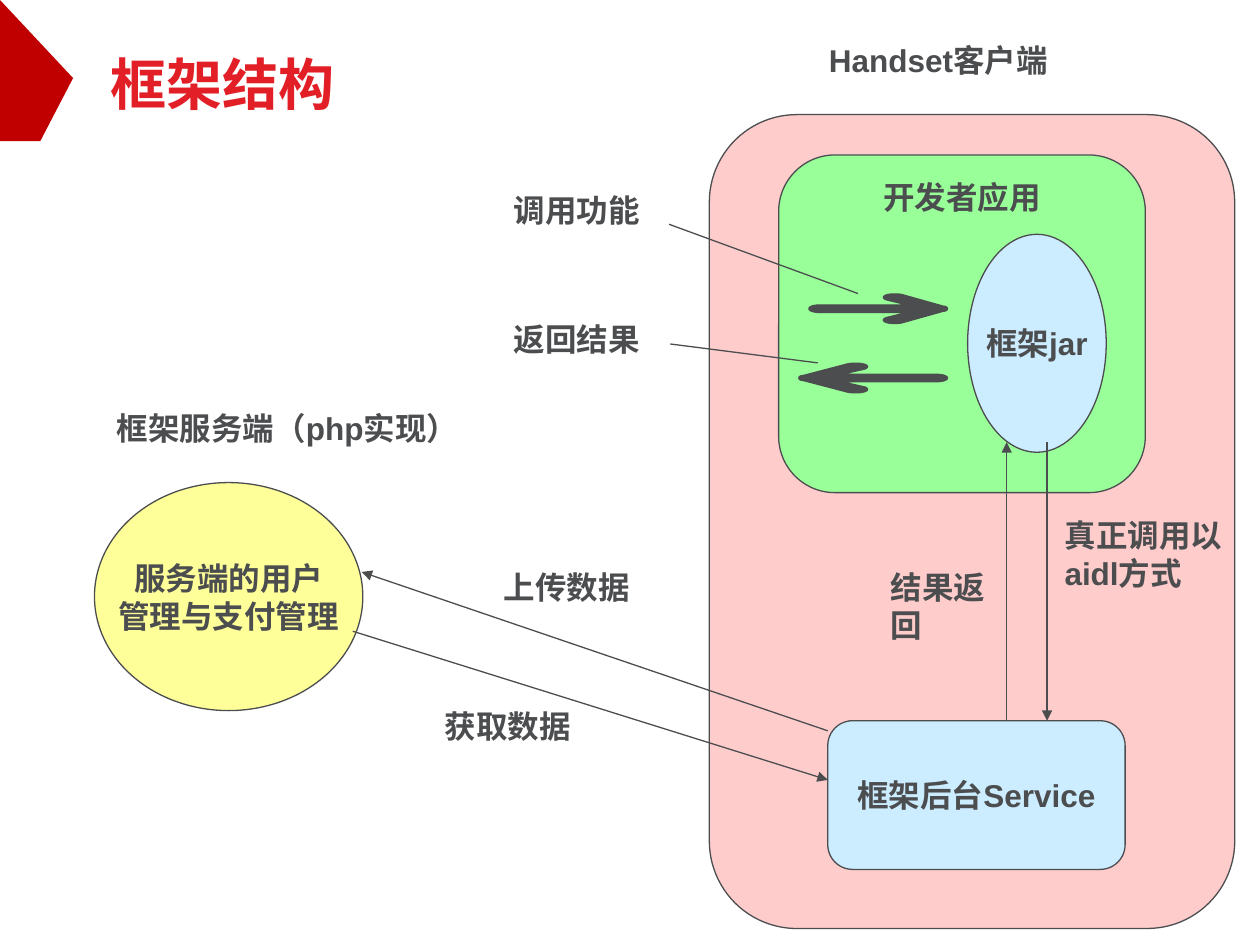
from dataclasses import dataclass

from lxml import etree
from pptx import Presentation
from pptx.dml.color import RGBColor
from pptx.enum.shapes import MSO_CONNECTOR, MSO_SHAPE
from pptx.enum.text import MSO_ANCHOR, PP_ALIGN
from pptx.oxml.ns import qn
from pptx.util import Inches, Pt

ELLIPSE, ROUNDED = MSO_SHAPE.OVAL, MSO_SHAPE.ROUNDED_RECTANGLE
STRAIGHT = MSO_CONNECTOR.STRAIGHT
TOP, MIDDLE, BOTTOM = MSO_ANCHOR.TOP, MSO_ANCHOR.MIDDLE, MSO_ANCHOR.BOTTOM
LEFT, CENTER = PP_ALIGN.LEFT, PP_ALIGN.CENTER


@dataclass(frozen=True)
class Theme:
    """Colours, fonts and sizes used on the slide."""
    ink: str = "4B4D4F"
    title: str = "E21F26"
    corner: str = "C00000"
    client: str = "FFCCCC"
    application: str = "99FF99"
    framework: str = "CCECFF"
    server: str = "FFFF99"
    latin: str = "Arial"
    asian: str = "Noto Sans CJK SC"
    title_size: int = 32
    body_size: int = 18
    line_width: float = 0.74


THEME = Theme()

# Upper half of a swept arrow of length 1: x runs from tip to tail, y in inches.
# Two numbers make a straight side, six make a cubic curve.
ARROW_HALF = [
    (0, -0.01, 0.01, -0.02, 0.03, -0.02),
    (0.32, -0.11),
    (0.35, -0.12, 0.41, -0.12, 0.44, -0.11),
    (0.47, -0.10, 0.47, -0.08, 0.44, -0.07),
    (0.29, -0.03),
    (0.92, -0.03),
    (0.96, -0.03, 1, -0.02, 1, 0),
]

LABELS = [
    ("Handset客户端", 6.48, 0.28, 2.61, 0.4),
    ("框架服务端（php实现）", 0.83, 3.2, 3.31, 0.4),
    ("调用功能", 3.98, 1.47, 1.5, 0.4),
    ("返回结果", 3.98, 2.49, 1.56, 0.4),
    ("真正调用以aidl方式", 8.35, 4.05, 1.61, 0.7),
    ("结果返回", 6.97, 4.46, 1.09, 0.7),
    ("上传数据", 3.9, 4.46, 1.36, 0.4),
    ("获取数据", 3.43, 5.56, 1.57, 0.4),
]

NODES = [
    (ROUNDED, (5.63, 0.91, 4.17, 6.46), THEME.client, "", MIDDLE),
    (ELLIPSE, (0.75, 3.83, 2.13, 1.81), THEME.server,
     "服务端的用户\n管理与支付管理", MIDDLE),
    (ROUNDED, (6.18, 1.23, 2.91, 2.68), THEME.application, "开发者应用", TOP),
    (ROUNDED, (6.57, 5.72, 2.36, 1.18), THEME.framework, "框架后台Service", MIDDLE),
    (ELLIPSE, (7.68, 1.86, 1.1, 1.73), THEME.framework, "框架jar", MIDDLE),
]

CALLOUTS = [(6.81, 2.33, 5.31, 1.78), (6.49, 2.88, 5.32, 2.73)]
FLOWS = [
    (8.31, 3.51, 8.31, 5.72),
    (7.99, 5.72, 7.99, 3.51),
    (6.57, 5.8, 2.87, 4.54),
    (2.8, 5.01, 6.57, 6.19),
]


def inches(values):
    """Convert numbers to lengths."""
    return [Inches(value) for value in values]


def set_attributes(target, values):
    """Set each named attribute on the target."""
    for name, value in values.items():
        setattr(target, name, value)


def write_text(shape, text, color=THEME.ink, size=THEME.body_size,
               latin=THEME.latin, align=LEFT, anchor=TOP, wrap=True, spacing=1.0):
    """Write one bold paragraph for each line of text."""
    frame = shape.text_frame
    set_attributes(frame, {
        "word_wrap": wrap, "vertical_anchor": anchor,
        "margin_left": Inches(0.1), "margin_right": Inches(0.1),
        "margin_top": Inches(0.05), "margin_bottom": Inches(0.05),
    })
    frame.text = text
    for paragraph in frame.paragraphs:
        set_attributes(paragraph, {"alignment": align, "line_spacing": spacing})
        for run in paragraph.runs:
            set_attributes(run.font, {"name": latin, "size": Pt(size), "bold": True})
            run.font.color.rgb = RGBColor.from_string(color)
            east_asian = etree.SubElement(run.font._element, qn("a:ea"))
            east_asian.set("typeface", THEME.asian)


def set_line(line):
    """Apply the thin diagram line."""
    line.color.rgb = RGBColor.from_string(THEME.ink)
    line.width = Pt(THEME.line_width)


def paint(shape, fill, outlined=True):
    """Fill a shape, without shadow."""
    shape.shadow.inherit = False
    shape.fill.solid()
    shape.fill.fore_color.rgb = RGBColor.from_string(fill)
    if outlined:
        set_line(shape.line)
    else:
        shape.line.fill.background()


def add_text(slide, text, box, **style):
    """Add a text box."""
    write_text(slide.shapes.add_textbox(*inches(box)), text, **style)


def add_node(slide, kind, box, fill, text, anchor):
    """Add an outlined diagram node with centred text."""
    shape = slide.shapes.add_shape(kind, *inches(box))
    paint(shape, fill)
    if text:
        write_text(shape, text, align=CENTER, anchor=anchor, wrap=False)


def add_outline(slide, points, fill, outlined=True):
    """Add a closed freeform through points given in inches."""
    start, *others = [inches(point) for point in points]
    builder = slide.shapes.build_freeform(*start, scale=1.0)
    builder.add_line_segments(others, close=True)
    paint(builder.convert_to_shape(), fill, outlined)


def curve_points(start, controls, steps=8):
    """Sample a cubic curve after its start point."""
    corners = [start, controls[:2], controls[2:4], controls[4:]]
    points = []
    for step in range(1, steps + 1):
        t = step / steps
        weights = ((1 - t) ** 3, 3 * t * (1 - t) ** 2, 3 * t * t * (1 - t), t ** 3)
        points.append(tuple(sum(weight * corner[axis]
                                for weight, corner in zip(weights, corners))
                            for axis in (0, 1)))
    return points


def add_swept_arrow(slide, tip_x, tail_x, y):
    """Add a thick horizontal arrow, symmetric about its axis."""
    half = [(0, 0)]
    for segment in ARROW_HALF:
        half += [segment] if len(segment) == 2 else curve_points(half[-1], segment)
    outline = half + [(along, -across) for along, across in half[-2:0:-1]]
    points = [(tip_x + along * (tail_x - tip_x), y + across) for along, across in outline]
    add_outline(slide, points, THEME.ink)


def add_line(slide, ends, arrow=False):
    """Add a straight connector, with an arrowhead at its end if asked."""
    connector = slide.shapes.add_connector(STRAIGHT, *inches(ends))
    set_line(connector.line)
    properties = connector._element.spPr
    if arrow:
        etree.SubElement(properties.find(qn("a:ln")), qn("a:tailEnd"), type="triangle")
    etree.SubElement(properties, qn("a:effectLst"))


def main():
    """Build and save the framework structure slide."""
    presentation = Presentation()
    set_attributes(presentation, {"slide_width": Inches(10), "slide_height": Inches(7.5)})
    slide = presentation.slides.add_slide(presentation.slide_layouts[6])

    corner = [(0, 0), (0.58, 0.62), (0.32, 1.12), (0, 1.12)]
    add_outline(slide, corner, THEME.corner, outlined=False)
    add_text(slide, "框架结构", (0.78, 0.11, 8.69, 0.87), color=THEME.title,
             size=THEME.title_size, latin=THEME.asian, anchor=BOTTOM, spacing=0.9)
    for node in NODES:
        add_node(slide, *node)
    add_swept_arrow(slide, 7.52, 6.42, 2.45)
    add_swept_arrow(slide, 6.34, 7.52, 3.0)
    for ends in CALLOUTS:
        add_line(slide, ends)
    for ends in FLOWS:
        add_line(slide, ends, arrow=True)
    for text, *box in LABELS:
        add_text(slide, text, box)

    presentation.save("out.pptx")


main()
